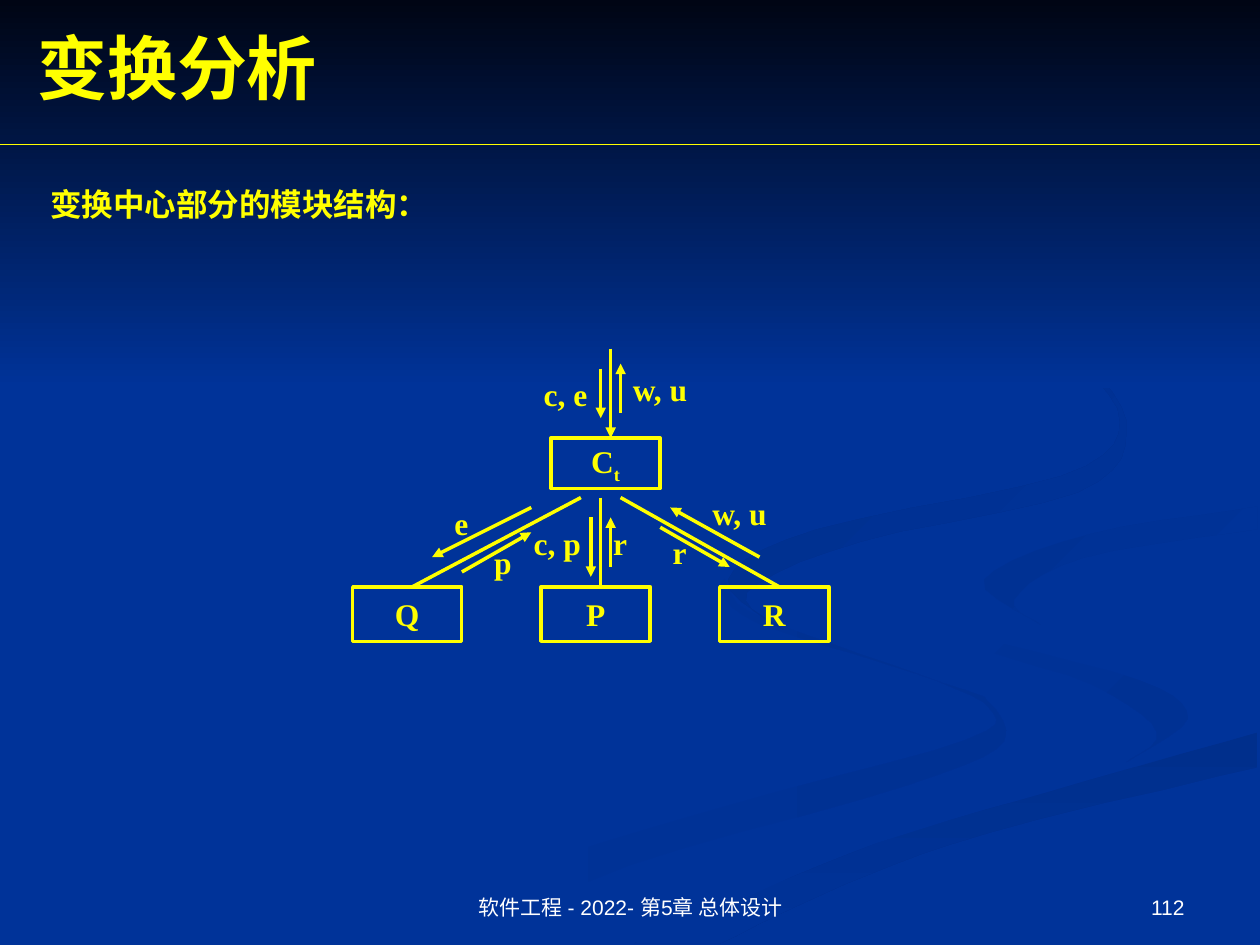
from dataclasses import dataclass

from lxml.etree import SubElement
from pptx import Presentation
from pptx.dml.color import RGBColor as Rgb
from pptx.enum.shapes import MSO_CONNECTOR as Link, MSO_SHAPE as Preset
from pptx.enum.text import MSO_ANCHOR as Anchor, PP_ALIGN as Align
from pptx.oxml.ns import qn
from pptx.util import Cm, Pt


@dataclass(frozen=True)
class Theme:
    blue: str = "003399"
    shade: str = "003193"
    deep: str = "002F8C"
    night: str = "000514"
    yellow: str = "FFFF00"
    white: str = "FFFFFF"
    serif: str = "Times New Roman"
    sans: str = "Arial"
    title: int = 40
    body: int = 18
    footer: int = 12
    stroke: float = 2
    rule: float = 0.75


THEME = Theme()
WIDTH, HEIGHT = 25.4, 19.05
CURVE_STEPS = 5

RIBBONS = [
    (THEME.blue, THEME.shade, 0, [
        [(781, 553), (682, 519), (594, 485), (575, 459)],
        [(570, 468), (602, 495), (728, 535), (785, 562), (767, 587),
         (579, 639), (417, 690), (300, 749)],
        [(361, 749), (499, 687), (721, 623), (797, 588), (781, 553)]]),
    (THEME.blue, THEME.shade, 45, [
        [(894, 605), (943, 570), (905, 540), (774, 503), (724, 464)],
        [(724, 464), (755, 505), (868, 544), (918, 581), (894, 605)]]),
    (THEME.deep, THEME.blue, 90, [
        [(571, 749), (670, 702), (785, 661), (998, 609)],
        [(998, 581), (831, 629), (696, 669), (503, 749)]]),
    (THEME.blue, THEME.blue, 0, [
        [(725, 464), (775, 503), (905, 540), (943, 570), (902, 603),
         (743, 643), (477, 749)],
        [(519, 747), (696, 669), (999, 581)],
        [(999, 538), (848, 503), (781, 463), (865, 424), (999, 402)],
        [(999, 387), (808, 417), (725, 464)]]),
    (THEME.shade, THEME.blue, 45, [
        [(998, 402), (865, 424), (781, 460), (826, 496)],
        [(826, 496), (805, 476), (859, 443), (998, 420)]]),
    (THEME.deep, THEME.blue, 45, [
        [(622, 500), (593, 470), (683, 430), (855, 391), (894, 344),
         (864, 291), (762, 233)],
        [(762, 233), (846, 279), (889, 335), (842, 378), (649, 420),
         (578, 460), (622, 500)]]),
]

MODULES = [
    ("C", "t", 4, 1.8, 1.02),
    ("Q", "", 0, 4.8, 1.1),
    ("P", "", 3.8, 4.8, 1.1),
    ("R", "", 7.4, 4.8, 1.1),
]
CALLS = [(4.6, 3, 1.2, 4.8), (5, 3, 5, 4.8), (5.4, 3, 8.6, 4.8)]
FLOWS = [
    (5.2, 0, 5.2, 1.8), (5, 0.4, 5, 1.4), (5.4, 1.3, 5.4, 0.3),
    (3.6, 3.2, 1.6, 4.2), (2.2, 4.5, 3.6, 3.7),
    (4.8, 3.4, 4.8, 4.6), (5.2, 4.4, 5.2, 3.4),
    (8.2, 4.2, 6.4, 3.2), (6.2, 3.6, 7.6, 4.4),
]
LABELS = [
    ("c, e", 3.6, 0.4, 1.6), ("w, u", 5.4, 0.3, 1.8),
    ("e", 1.8, 3, 0.8), ("p", 2.6, 3.8, 0.8),
    ("c, p", 3.4, 3.4, 1.6), ("r", 5, 3.4, 0.8),
    ("w, u", 7, 2.8, 1.8), ("r", 6.2, 3.6, 0.8),
]


def write(shape, text, sub="", size=THEME.body, font=THEME.serif,
          color=THEME.yellow, bold=True, align=Align.LEFT, anchor=Anchor.TOP):
    frame = shape.text_frame
    frame.word_wrap = True
    frame.vertical_anchor = anchor
    line = frame.paragraphs[0]
    line.alignment = align
    for part in filter(None, (text, sub)):
        run = line.add_run()
        run.text = part
        run.font.size = Pt(size)
        run.font.name = font
        run.font.bold = bold
        run.font.color.rgb = Rgb.from_string(color)
    if sub:
        run.font._element.set("baseline", "-25000")


def add_text(slide, box, text, **style):
    write(slide.shapes.add_textbox(*map(Cm, box)), text, **style)


def add_line(slide, ends, weight=THEME.stroke, arrow=False):
    line = slide.shapes.add_connector(Link.STRAIGHT, *map(Cm, ends))
    line.line.color.rgb = Rgb.from_string(THEME.yellow)
    line.line.width = Pt(weight)
    if arrow:
        SubElement(line.line._get_or_add_ln(), qn("a:tailEnd"), type="triangle")
    SubElement(line._element.spPr, qn("a:effectLst"))


def paint_gradient(shape, start, end, angle):
    shape.shadow.inherit = False
    shape.line.fill.background()
    shape.fill.gradient()
    shape.fill.gradient_angle = -angle % 360
    for stop, color in zip(shape.fill.gradient_stops, (start, end)):
        stop.color.rgb = Rgb.from_string(color)


def smooth_edge(knots):
    padded = [knots[0], *knots, knots[-1]]
    points = [knots[0]]
    for quad in zip(padded, padded[1:], padded[2:], padded[3:]):
        for step in range(1, CURVE_STEPS + 1):
            t = step / CURVE_STEPS
            points.append(tuple(
                b + t * (c - a + t * (2 * a - 5 * b + 4 * c - d
                                      + t * (3 * b - a - 3 * c + d))) / 2
                for a, b, c, d in zip(*quad)))
    return points


def draw_backdrop(slide, box):
    left, top, width, _ = box
    slide.background.fill.solid()
    slide.background.fill.fore_color.rgb = Rgb.from_string(THEME.blue)
    for start, end, angle, edges in RIBBONS:
        outline = [point for edge in edges for point in smooth_edge(edge)]
        builder = slide.shapes.build_freeform(*outline[0], scale=Cm(width) / 1000)
        builder.add_line_segments(outline[1:], close=True)
        ribbon = builder.convert_to_shape(Cm(left), Cm(top))
        paint_gradient(ribbon, start, end, angle)
    sky = slide.shapes.add_shape(
        Preset.RECTANGLE, *map(Cm, (left, top, width, 7.82)))
    paint_gradient(sky, THEME.night, THEME.blue, 90)


def draw_heading(slide, box):
    left, top, width, height = box
    add_text(slide, (left + 0.5, top + 0.36, width - 0.5, 1.96), "变换分析",
             size=THEME.title, anchor=Anchor.MIDDLE)
    add_line(slide, (left, top + height, left + width, top + height), THEME.rule)


def draw_structure(slide, box):
    left, top = box[:2]
    for name, sub, x, y, height in MODULES:
        module = slide.shapes.add_shape(
            Preset.RECTANGLE, *map(Cm, (left + x, top + y, 2.2, height)))
        module.shadow.inherit = False
        module.fill.background()
        module.line.color.rgb = Rgb.from_string(THEME.yellow)
        module.line.width = Pt(THEME.stroke)
        write(module, name, sub, align=Align.CENTER, anchor=Anchor.MIDDLE)
    for lines, arrow in ((CALLS, False), (FLOWS, True)):
        for x1, y1, x2, y2 in lines:
            add_line(slide, (left + x1, top + y1, left + x2, top + y2), arrow=arrow)
    for text, x, y, width in LABELS:
        add_text(slide, (left + x, top + y, width, 1.02), text)


def draw_footer(slide, box):
    left, top, width, height = box
    style = dict(size=THEME.footer, font=THEME.sans, color=THEME.white,
                 bold=False, anchor=Anchor.BOTTOM)
    add_text(slide, (left + 8.69, top, 8.05, height),
             "软件工程 - 2022- 第5章 总体设计", align=Align.CENTER, **style)
    add_text(slide, (left + width - 7.19, top, 5.92, height), "112",
             align=Align.RIGHT, **style)


def main():
    deck = Presentation()
    deck.slide_width, deck.slide_height = Cm(WIDTH), Cm(HEIGHT)
    slide = deck.slides.add_slide(deck.slide_layouts[6])
    draw_backdrop(slide, (0, 0, WIDTH, HEIGHT))
    draw_heading(slide, (0, 0, WIDTH, 2.92))
    add_text(slide, (0.76, 3.6, 12.34, 1.02), "变换中心部分的模块结构：")
    draw_structure(slide, (7.11, 7.03, 9.6, 5.9))
    draw_footer(slide, (0, 17.35, WIDTH, 1.32))
    deck.save("out.pptx")


if __name__ == "__main__":
    main()
